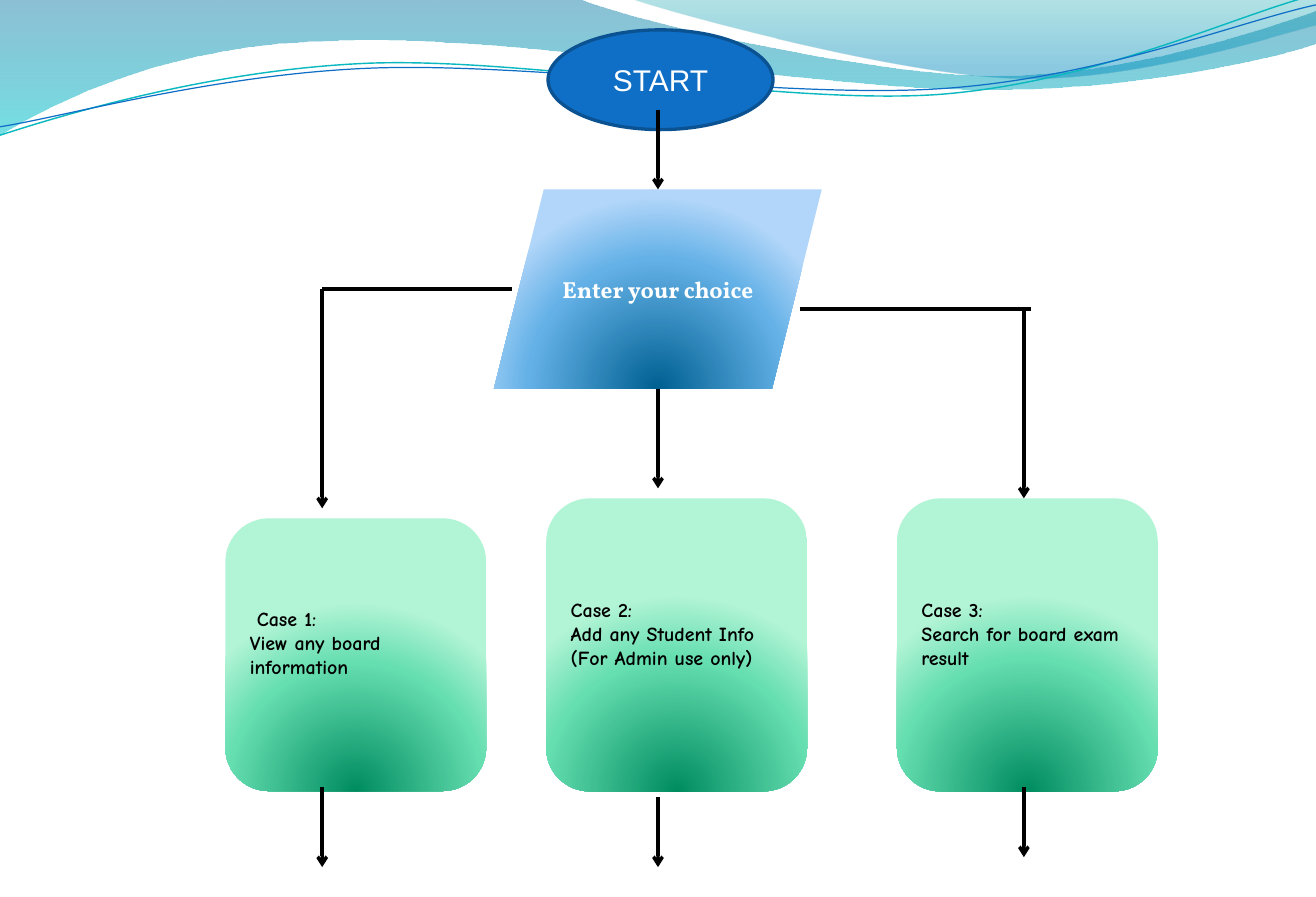
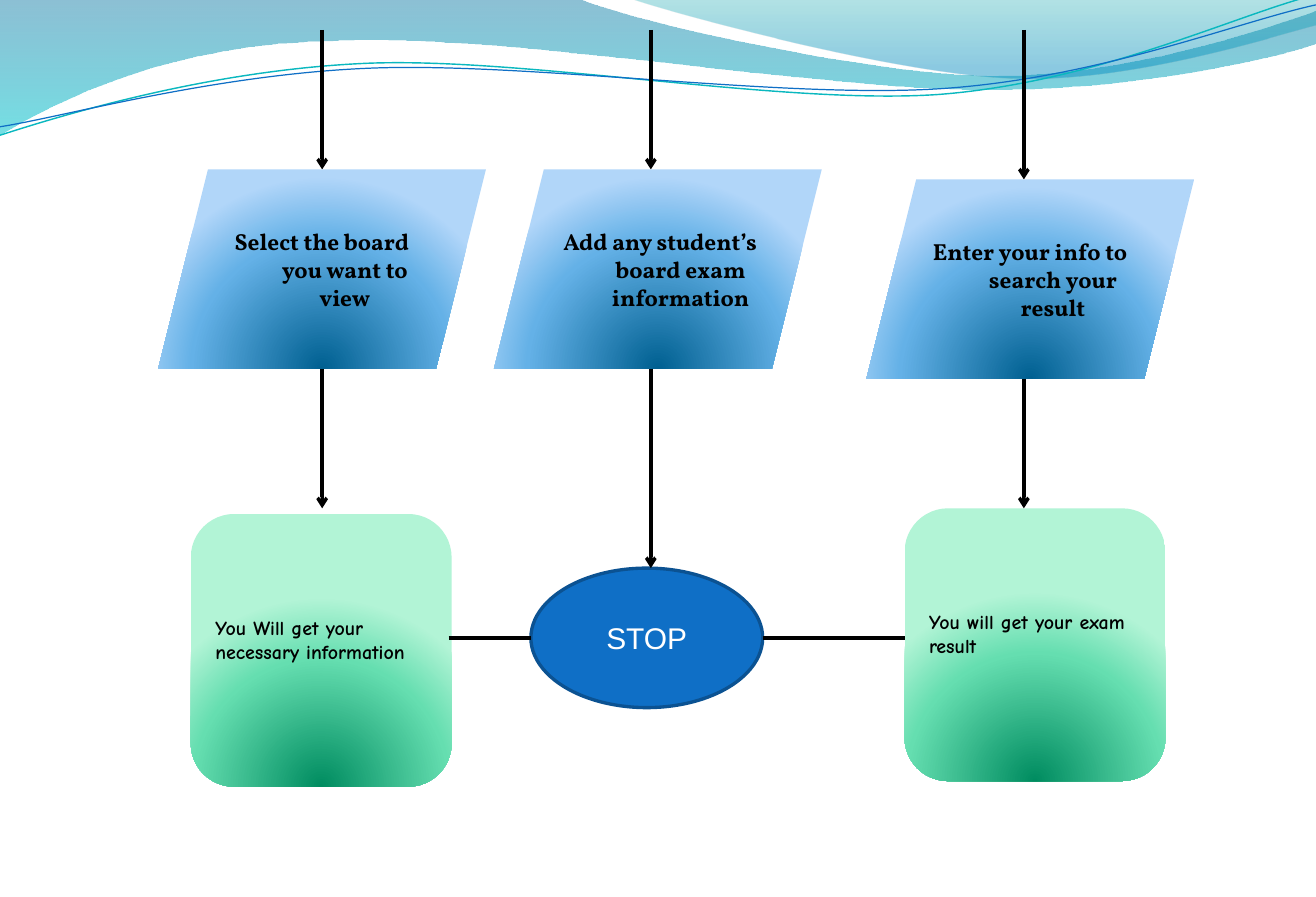
import math

import pptx
import pptx.dml.color
import pptx.enum.shapes
import pptx.enum.text
import pptx.oxml
import pptx.oxml.ns
import pptx.util

Pt = pptx.util.Pt
SHAPES = pptx.enum.shapes.MSO_SHAPE
ALIGN = pptx.enum.text.PP_ALIGN

BLUE, BLUE_EDGE, BLACK, WHITE = "0F6FC6", "0B5292", "000000", "FFFFFF"
# Gradient stops: position %, colour, opacity %
BLUE_GLOW = [(0, "006091", 100), (68, "64B1E7", 100), (100, "B1D6F9", 100)]
GREEN_GLOW = [(0, "008C60", 100), (68, "65DEB0", 100), (100, "B2F4D6", 100)]
TOP_DOWN = '<a:lin ang="5400000" scaled="1"/>'
FROM_BELOW = ('<a:path path="circle"><a:fillToRect l="50000" t="130000" '
              'r="50000" b="-30000"/></a:path>')

TILT = -2.7  # degrees, for the wavy lines
# Waves: a list of steps; two numbers make a line, six a curve.
WAVES = [
    dict(steps=[(0, 0), (348.5, -0.7),
                (376.6, 12.2, 525.6, 45.4, 600.5, 45.4),
                (675.4, 45.4, 758.9, 18.7, 792, 6.5), (792.7, 25.9),
                (779, 31.7, 689, 54.7, 590.4, 54),
                (492.5, 54, 302.4, 20.2, 203.8, 24.5),
                (102.2, 25.9, 36, 59.8, -0.7, 81.4)],
         stops=[(0, "0074A1", 45), (100, "00C6CF", 55)]),
    dict(steps=[(379.4, -0.7), (403.2, 7.9, 540, 44.6, 609.1, 46.8),
                (677.5, 49.7, 761.8, 23, 792, 15.1), (792, 0)],
         stops=[(0, "00A1A9", 30), (80, "008BBF", 45)]),
    dict(steps=[(0, 81.4), (38.2, 69.1, 125.3, 42.5, 218.9, 38.2),
                (313.2, 33.8, 469.4, 63.4, 564.5, 56.9),
                (659.5, 49.7, 743, 9.4, 790.6, -2.9)],
         line=("0AB8BF", 0.85), center=(395.3, 41.4)),
    dict(steps=[(0, 76.3), (37.4, 70.6, 129.6, 44.6, 223.9, 41),
                (319, 37.4, 473, 59.8, 567.4, 53.3),
                (662.4, 46.8, 745.2, 13, 792, 2.9)],
         line=(BLUE, 0.75), center=(396, 42.5)),
]


def color(value):
    """Turn a hex string into a colour."""
    return pptx.dml.color.RGBColor.from_string(value)


def element(xml):
    """Parse one drawing element."""
    namespace = pptx.oxml.ns.nsdecls("a")
    return pptx.oxml.parse_xml(xml.replace(">", f" {namespace}>", 1))


def gradient(shape, stops, direction):
    """Fill a shape with a gradient."""
    marks = "".join(f'<a:gs pos="{position * 1000}"><a:srgbClr val="{value}">'
                    f'<a:alpha val="{opacity * 1000}"/></a:srgbClr></a:gs>'
                    for position, value, opacity in stops)
    fill = element('<a:gradFill rotWithShape="1">'
                   f'<a:gsLst>{marks}</a:gsLst>{direction}</a:gradFill>')
    shape.element.spPr.insert(2, fill)  # right after position and geometry


def outline(shape, value, width):
    """Set the line of a shape."""
    shape.line.color.rgb = color(value)
    shape.line.width = Pt(width)


def turn(point, center, degrees):
    """Rotate a point clockwise about a center."""
    x, y = point[0] - center[0], point[1] - center[1]
    cosine, sine = math.cos(math.radians(degrees)), math.sin(math.radians(degrees))
    return center[0] + x * cosine - y * sine, center[1] + x * sine + y * cosine


def bend(shape, steps):
    """Join each three corners of a curved step into one Bezier curve."""
    corners = iter(shape.element.findall(".//" + pptx.oxml.ns.qn("a:lnTo")))
    for step in steps[1:]:
        group = [next(corners) for _ in range(len(step) // 2)]
        if len(group) == 3:
            curve = element("<a:cubicBezTo></a:cubicBezTo>")
            group[0].addprevious(curve)
            for corner in group:
                curve.append(corner[0])
                corner.getparent().remove(corner)


def write(shape, lines, size=12, font="Arial", value=BLACK, bold=False,
          align=ALIGN.LEFT, hanging=0, below=0):
    """Write paragraphs into a shape; below is extra room under the text."""
    frame = shape.text_frame
    frame.word_wrap = True
    frame.vertical_anchor = pptx.enum.text.MSO_ANCHOR.MIDDLE
    frame.margin_bottom = Pt(3.6 + below)
    for index, line in enumerate(lines):
        paragraph = frame.add_paragraph() if index else frame.paragraphs[0]
        paragraph.alignment = align
        if hanging:
            properties = paragraph._p.get_or_add_pPr()
            properties.set("marL", str(Pt(hanging)))
            properties.set("indent", str(-Pt(hanging)))
        run = paragraph.add_run()
        run.text = line
        run.font.name = font
        run.font.size = Pt(size)
        run.font.bold = bold
        run.font.color.rgb = color(value)


class Flowchart:
    """Hold the presentation, its style and the current slide."""

    def __init__(self):
        """Set up the page and its layout."""
        self.presentation = pptx.Presentation()
        self.presentation.slide_width = Pt(792)
        self.presentation.slide_height = Pt(540)
        self.layout = self.presentation.slide_layouts[6]
        for placeholder in list(self.layout.placeholders):
            placeholder.element.getparent().remove(placeholder.element)
        self.slide = None

    def new_slide(self):
        """Start the next slide."""
        self.slide = self.presentation.slides.add_slide(self.layout)

    def waves(self):
        """Draw the waves and move them to the layout all slides share."""
        shapes = [self.wave(**wave) for wave in WAVES]
        for shape in shapes:
            self.layout.element.cSld.spTree.append(shape.element)

    def wave(self, steps, stops=None, line=None, center=None):
        """Draw one filled wave or one tilted wavy line."""
        points = [step[index:index + 2] for step in steps
                  for index in range(0, len(step), 2)]
        if center:
            points = [turn(point, center, -TILT) for point in points]
        start, *others = [(Pt(x), Pt(y)) for x, y in points]
        builder = self.slide.shapes.build_freeform(*start, scale=1.0)
        builder.add_line_segments(others, close=bool(stops))
        shape = builder.convert_to_shape()
        bend(shape, steps)
        if stops:
            gradient(shape, stops, TOP_DOWN)
            shape.line.fill.background()
        else:
            shape.rotation = TILT
            shape.fill.background()
            outline(shape, *line)
        shape.shadow.inherit = False
        return shape

    def add(self, kind, left, top, width, height):
        """Add a preset shape without a shadow."""
        shape = self.slide.shapes.add_shape(kind, Pt(left), Pt(top), Pt(width), Pt(height))
        shape.shadow.inherit = False
        return shape

    def terminal(self, text, left, top, width, height):
        """Add a start or stop ellipse."""
        shape = self.add(SHAPES.OVAL, left, top, width, height)
        shape.fill.solid()
        shape.fill.fore_color.rgb = color(BLUE)
        outline(shape, BLUE_EDGE, 2)
        write(shape, [text], size=18, value=WHITE, align=ALIGN.CENTER)

    def entry(self, text, left, top, value=BLACK):
        """Add an input parallelogram."""
        shape = self.add(SHAPES.PARALLELOGRAM, left, top, 197.3, 120)
        gradient(shape, BLUE_GLOW, FROM_BELOW)
        shape.line.fill.background()
        write(shape, [text], size=14, font="Vollkorn", value=value, bold=True,
              align=ALIGN.CENTER, hanging=27.4)

    def process(self, lines, left, top, height=164.2, below=13.2):
        """Add a green rounded step."""
        shape = self.add(SHAPES.ROUNDED_RECTANGLE, left, top, 157, height)
        gradient(shape, GREEN_GLOW, FROM_BELOW)
        shape.line.fill.background()
        write(shape, lines, font="Comic Neue", bold=True, below=below)

    def link(self, x1, y1, x2, y2, arrow=False):
        """Add a black line, with an arrowhead at its end if asked."""
        connector = self.slide.shapes.add_connector(
            pptx.enum.shapes.MSO_CONNECTOR.STRAIGHT, Pt(x1), Pt(y1), Pt(x2), Pt(y2))
        outline(connector, BLACK, 2)
        if arrow:
            connector.line._get_or_add_ln().append(element('<a:tailEnd type="arrow"></a:tailEnd>'))
        connector.element.spPr.append(element("<a:effectLst></a:effectLst>"))

    def arrow(self, x, top, bottom):
        """Add an arrow that points straight down."""
        self.link(x, top, x, bottom, arrow=True)


LEFT, MIDDLE, RIGHT = 193.9, 396, 616.2

chart = Flowchart()

# Slide 1: the choice and its three cases
chart.new_slide()
chart.waves()
chart.entry("Enter your choice", 297.3, 114, value=WHITE)
chart.process([" Case 1:", "View any board information"], 135.6, 312, below=14.4)
chart.terminal("START", 329.8, 18, 135.4, 60)
for top, bottom in [(66, 114), (234, 294)]:
    chart.arrow(MIDDLE, top, bottom)
chart.process(["Case 2:", "Add any Student Info (For Admin use only)"],
              328.7, 300, height=176.4, below=14)
chart.process(["Case 3:", "Search for board exam result"],
              539.8, 300, height=176.4, below=14)
chart.arrow(LEFT, 174, 306)
chart.arrow(RIGHT, 186, 300)
chart.link(LEFT, 174, 308.4, 174)
chart.link(481.2, 186, 620.6, 186)
for x, top, bottom in [(LEFT, 474, 522), (RIGHT, 474, 516), (MIDDLE, 480, 522)]:
    chart.arrow(x, top, bottom)

# Slide 2: what each case does, up to the stop
MIDDLE = 391.7
chart.new_slide()
chart.terminal("STOP", 319.5, 342, 139.5, 84)
for x, bottom in [(LEFT, 102), (RIGHT, 108), (MIDDLE, 102)]:
    chart.arrow(x, 18, bottom)
for left, top, text in [
        (297.3, 102, " Add any student’s board exam information"),
        (521.4, 108, "Enter your info to search your result"),
        (95.2, 102, "Select the board you want to view")]:
    chart.entry(text, left, top)
chart.process(["You Will get your necessary information"], 114.8, 309.4)
chart.process(["You will get your exam result"], 544.4, 306)
for x, top, bottom in [(MIDDLE, 222, 342), (LEFT, 222, 306), (RIGHT, 228, 306)]:
    chart.arrow(x, top, bottom)
chart.link(270, 384, 319.5, 384)
chart.link(459, 384, 544.4, 384)

chart.presentation.save("out.pptx")
